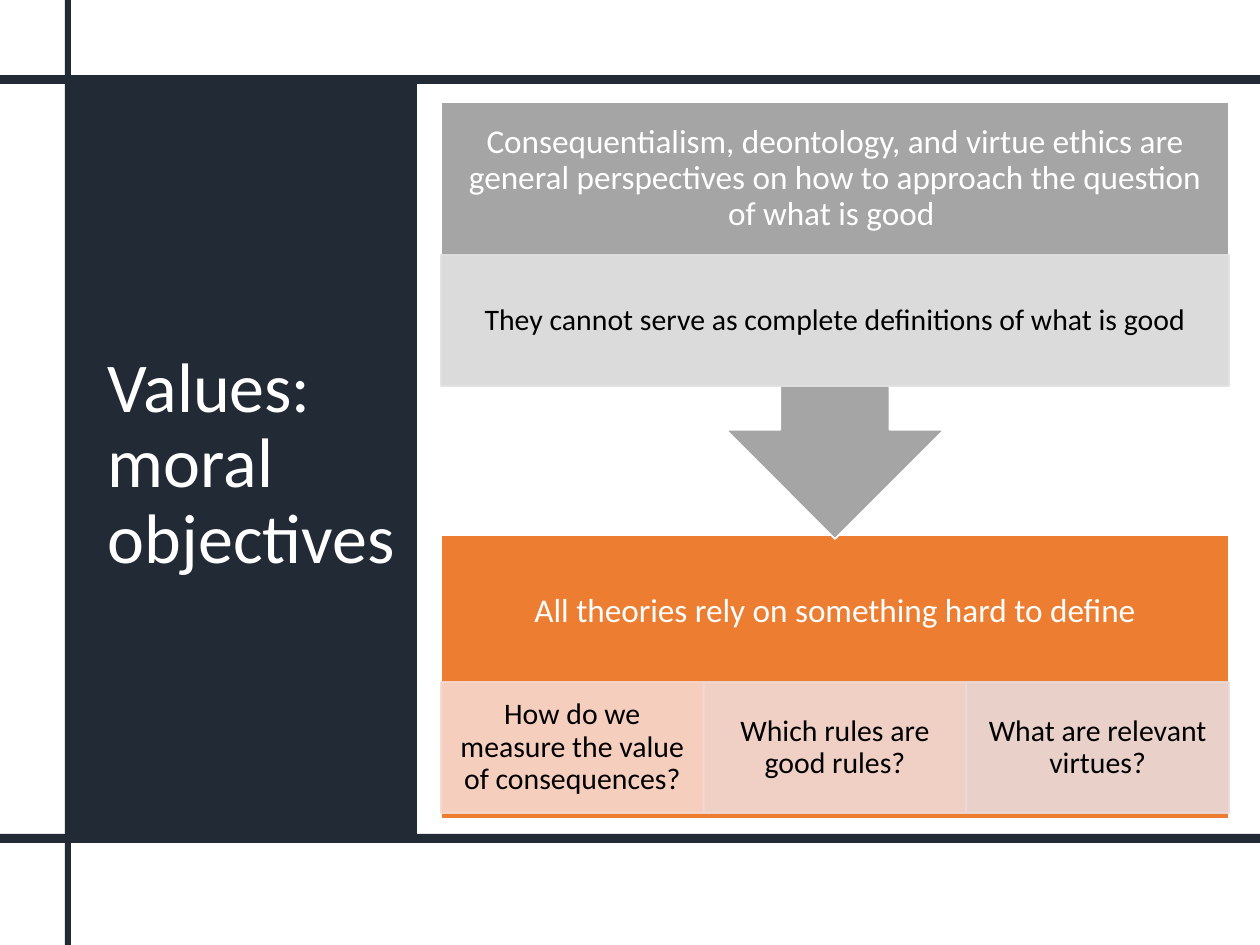
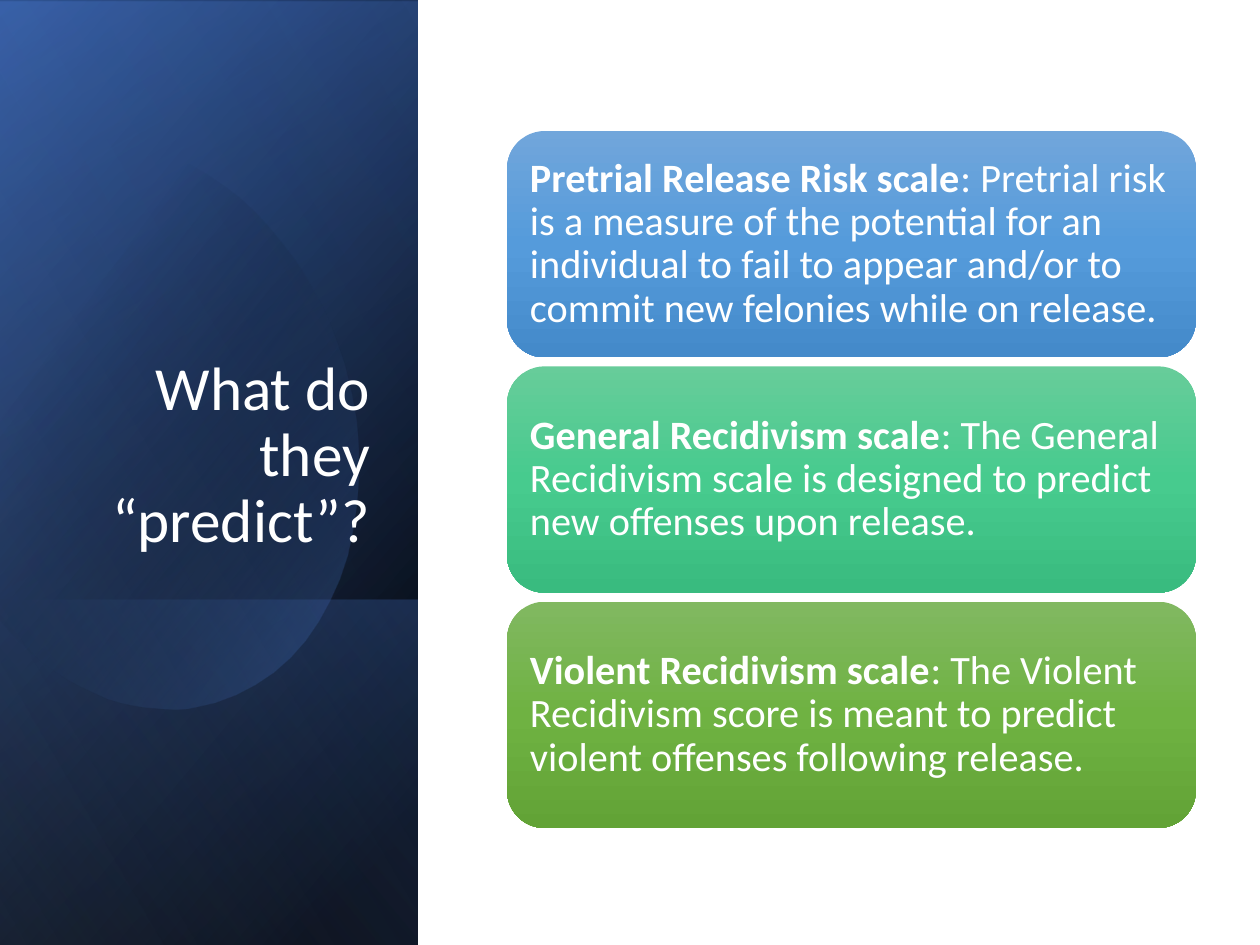
from lxml.etree import SubElement
from pptx import Presentation
from pptx.dml.color import RGBColor
from pptx.enum.shapes import MSO_SHAPE as Shape
from pptx.enum.text import MSO_ANCHOR as Anchor, PP_ALIGN as Align
from pptx.oxml.ns import qn
from pptx.util import Emu, Pt

EMU_PER_PX = 914400 / 126
SLIDE_WIDTH, SLIDE_HEIGHT = 1260, 945
FONT = "Calibri"
WHITE, BLACK, NAVY, GREY, ORANGE = "FFFFFF", "000000", "222A35", "A5A5A5", "ED7D31"
BLUE = "4472C4"

HEADING = {"size": 19, "color": WHITE, "align": Align.CENTER}
DETAIL = {"size": 17, "color": BLACK, "align": Align.CENTER, "insets": (16, 3, 16, 3)}
CARD = {"size": 23, "color": WHITE, "insets": (12, 12, 12, 12)}

QUESTIONS = [
    ("How do we measure the value of consequences?", "F8D7CE"),
    ("Which rules are good rules?", "F1D8D4"),
    ("What are relevant virtues?", "E9DBDA"),
]
SCALES = [
    ("Pretrial Release Risk scale",
     ": Pretrial risk is a measure of the potential for an individual to fail "
     "to appear and/or to commit new felonies while on release.",
     ("71A6DB", "559BDB", "448ACA")),
    ("General Recidivism scale",
     ": The General Recidivism scale is designed to predict new offenses upon release.",
     ("67CC9A", "47CB8E", "39BB7F")),
    ("Violent Recidivism scale",
     ": The Violent Recidivism score is meant to predict violent offenses "
     "following release.",
     ("81B861", "6FB242", "62A336")),
]
BLOB_START = (121, 144)
BLOB_SEGMENTS = [
    [(215, 154), (307, 242), (344, 365)],
    [(387, 519), (330, 669), (215, 702)],
    [(144, 723), (67, 693), (9, 630)],
    [(-4, 615)],
    [(-32, 209)],
    [(-19, 194)],
    [(3, 173), (28, 157), (57, 149)],
    [(78, 143), (100, 142), (121, 144)],
]


def px(length):
    """Turn pixels into EMU."""
    return Emu(round(length * EMU_PER_PX))


def rgb(color):
    """Turn a hex string into a colour."""
    return RGBColor.from_string(color)


def set_alpha(parent, percent):
    """Make the solid colour below an element partly transparent."""
    color = parent.find(".//" + qn("a:srgbClr"))
    SubElement(color, qn("a:alpha"), val=str(percent * 1000))


def fill_gradient(shape, stops, angle):
    """Fill with a linear gradient of (position, colour, alpha) stops."""
    shape.fill.gradient()
    gradient = shape._element.spPr.find(qn("a:gradFill"))
    stop_list = gradient.find(qn("a:gsLst"))
    for stop in list(stop_list):
        stop_list.remove(stop)
    for position, color, alpha in stops:
        stop = SubElement(stop_list, qn("a:gs"), pos=str(position * 1000))
        SubElement(stop, qn("a:srgbClr"), val=color)
        set_alpha(stop, alpha)
    gradient.find(qn("a:lin")).set("ang", str(angle * 60000))


def add_shape(slide, box, kind=Shape.RECTANGLE, fill=None, line=None, alpha=None):
    """Add a flat preset shape."""
    shape = slide.shapes.add_shape(kind, *map(px, box))
    shape.shadow.inherit = False
    if fill:
        shape.fill.solid()
        shape.fill.fore_color.rgb = rgb(fill)
    if line:
        shape.line.color.rgb = rgb(line)
        shape.line.width = Pt(1)
    else:
        shape.line.fill.background()
    if alpha:
        for tag in ("a:solidFill", "a:ln"):
            set_alpha(shape._element.spPr.find(qn(tag)), alpha)
    return shape


def write(shape, runs, size, color, align=Align.LEFT, anchor=Anchor.MIDDLE,
          insets=(13, 6, 13, 6)):
    """Write one paragraph of (text, bold) runs into a shape."""
    frame = shape.text_frame
    frame_format = {"word_wrap": True, "vertical_anchor": anchor}
    for side, inset in zip(("left", "top", "right", "bottom"), insets):
        frame_format[f"margin_{side}"] = px(inset)
    for name, value in frame_format.items():
        setattr(frame, name, value)
    paragraph = frame.paragraphs[0]
    for name, value in {"alignment": align, "line_spacing": 0.9}.items():
        setattr(paragraph, name, value)
    for text, bold in runs:
        run = paragraph.add_run()
        run.text = text
        for name, value in {"name": FONT, "size": Pt(size), "bold": bold}.items():
            setattr(run.font, name, value)
        run.font.color.rgb = rgb(color)


def add_title(slide, box, text, size, **options):
    """Add the white title of a side panel."""
    title = slide.shapes.add_textbox(*map(px, box))
    write(title, [(text, False)], size, WHITE, **options)


def add_frame(slide, box):
    """Draw the dark side panel with its crossing bars."""
    left, top, width, height = box
    bar = 9
    bars = [
        box,
        (0, top + height, SLIDE_WIDTH, bar),
        (left - 3, 0, 6, SLIDE_HEIGHT),
        (0, top - bar, SLIDE_WIDTH, bar),
    ]
    for bar_box in bars:
        add_shape(slide, bar_box, fill=NAVY)
    add_title(slide, (left + 27, top + 27, 315, 708), "Values: moral objectives", 40)


def add_block(slide, box, kind, fill, heading, details, detail_top):
    """Draw a headed block with a row of equal detail cells."""
    left, top, width, height = box
    detail_height = 131
    block = add_shape(slide, box, kind, fill, WHITE)
    write(block, [(heading, False)], insets=(19, 19, 19, detail_height + 18), **HEADING)
    cell_width = width / len(details)
    for column, (text, color) in enumerate(details):
        cell_box = (left + column * cell_width, top + detail_top, cell_width, detail_height)
        cell = add_shape(slide, cell_box, fill=color, line=color, alpha=90)
        write(cell, [(text, False)], **DETAIL)


def add_argument(slide, box):
    """Draw the claim whose arrow leads down to its consequence."""
    left, top, width, height = box
    lower_top = 433
    add_block(slide, (left, top + lower_top, width, height - lower_top), Shape.RECTANGLE,
              ORANGE, "All theories rely on something hard to define", QUESTIONS, 147)
    add_block(slide, (left, top, width, 437), Shape.DOWN_ARROW_CALLOUT, GREY,
              "Consequentialism, deontology, and virtue ethics are general perspectives "
              "on how to approach the question of what is good ",
              [("They cannot serve as complete definitions of what is good", "E1E1E1")], 153)


def add_turned_layer(slide, box, stops, angle):
    """Cover a box with a mirrored, quarter-turned gradient rectangle."""
    left, top, width, height = box
    shift = (width - height) / 2
    layer = add_shape(slide, (left + shift, top - shift, height, width))
    layer.rotation = 90
    layer._element.spPr.find(qn("a:xfrm")).set("flipH", "1")
    fill_gradient(layer, stops, angle)


def curve_points(start, controls, steps=16):
    """List the points of a line or a cubic curve after its start."""
    if len(controls) == 1:
        return controls
    corners = [start, *controls]
    points = []
    for step in range(1, steps + 1):
        t = step / steps
        weights = ((1 - t) ** 3, 3 * t * (1 - t) ** 2, 3 * t * t * (1 - t), t ** 3)
        points.append(tuple(sum(weight * corner[axis] for weight, corner in zip(weights, corners))
                            for axis in (0, 1)))
    return points


def add_blob(slide, left, top):
    """Draw the soft round glow."""
    points = [BLOB_START]
    for controls in BLOB_SEGMENTS:
        points += curve_points(points[-1], controls)
    points = [(left + x, top + y) for x, y in points]
    builder = slide.shapes.build_freeform(*points[0], scale=EMU_PER_PX)
    builder.add_line_segments(points[1:], close=True)
    blob = builder.convert_to_shape()
    blob.shadow.inherit = False
    blob.line.fill.background()
    fill_gradient(blob, [(29, BLACK, 0), (100, BLUE, 43)], 36)


def add_glowing_panel(slide, box):
    """Draw the layered blue side panel and its title."""
    left, top, width, height = box
    low = 600
    add_turned_layer(slide, box, [(8, BLACK, 100), (100, "2F5597", 100)], 50)
    add_turned_layer(slide, (left, top + 2, width, height),
                     [(0, BLACK, 0), (99, BLUE, 46)], 30)
    add_turned_layer(slide, (left, top + low, width, height - low),
                     [(2, BLUE, 29), (100, BLACK, 30)], 130)
    add_blob(slide, left, top)
    add_turned_layer(slide, box, [(0, BLACK, 0), (99, "8FAADC", 11)], 120)
    add_title(slide, (left + 61, top + 232, 322, 330), "What do they “predict”?", 35,
              align=Align.RIGHT, anchor=Anchor.BOTTOM)


def add_cards(slide, box):
    """Stack the rounded scale cards with equal gaps."""
    left, top, width, height = box
    gap = 9
    card_height = (height - gap * (len(SCALES) - 1)) / len(SCALES)
    for row, (name, description, colors) in enumerate(SCALES):
        card_box = (left, top + row * (card_height + gap), width, card_height)
        card = add_shape(slide, card_box, Shape.ROUNDED_RECTANGLE)
        fill_gradient(card, [(50 * i, color, 100) for i, color in enumerate(colors)], 90)
        write(card, [(name, True), (description, False)], **CARD)


def main():
    """Build both slides and save them."""
    presentation = Presentation()
    presentation.slide_width = px(SLIDE_WIDTH)
    presentation.slide_height = px(SLIDE_HEIGHT)
    blank = presentation.slide_layouts[6]

    values = presentation.slides.add_slide(blank)
    add_frame(values, (68, 84, 349, 750))
    add_argument(values, (441, 102, 788, 717))

    predictions = presentation.slides.add_slide(blank)
    add_glowing_panel(predictions, (0, 0, 418, SLIDE_HEIGHT))
    add_cards(predictions, (507, 131, 689, 697))

    presentation.save("out.pptx")


if __name__ == "__main__":
    main()
